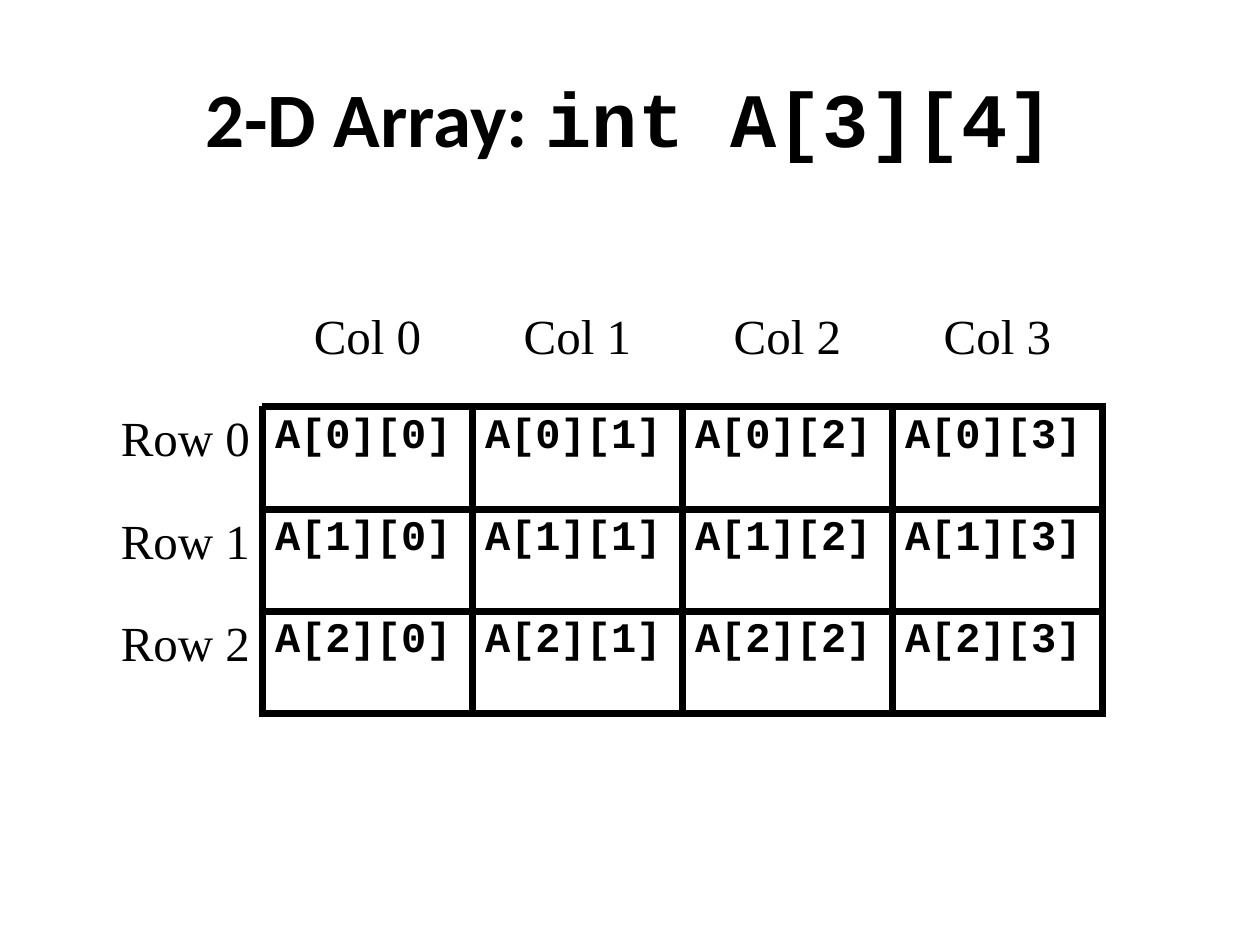
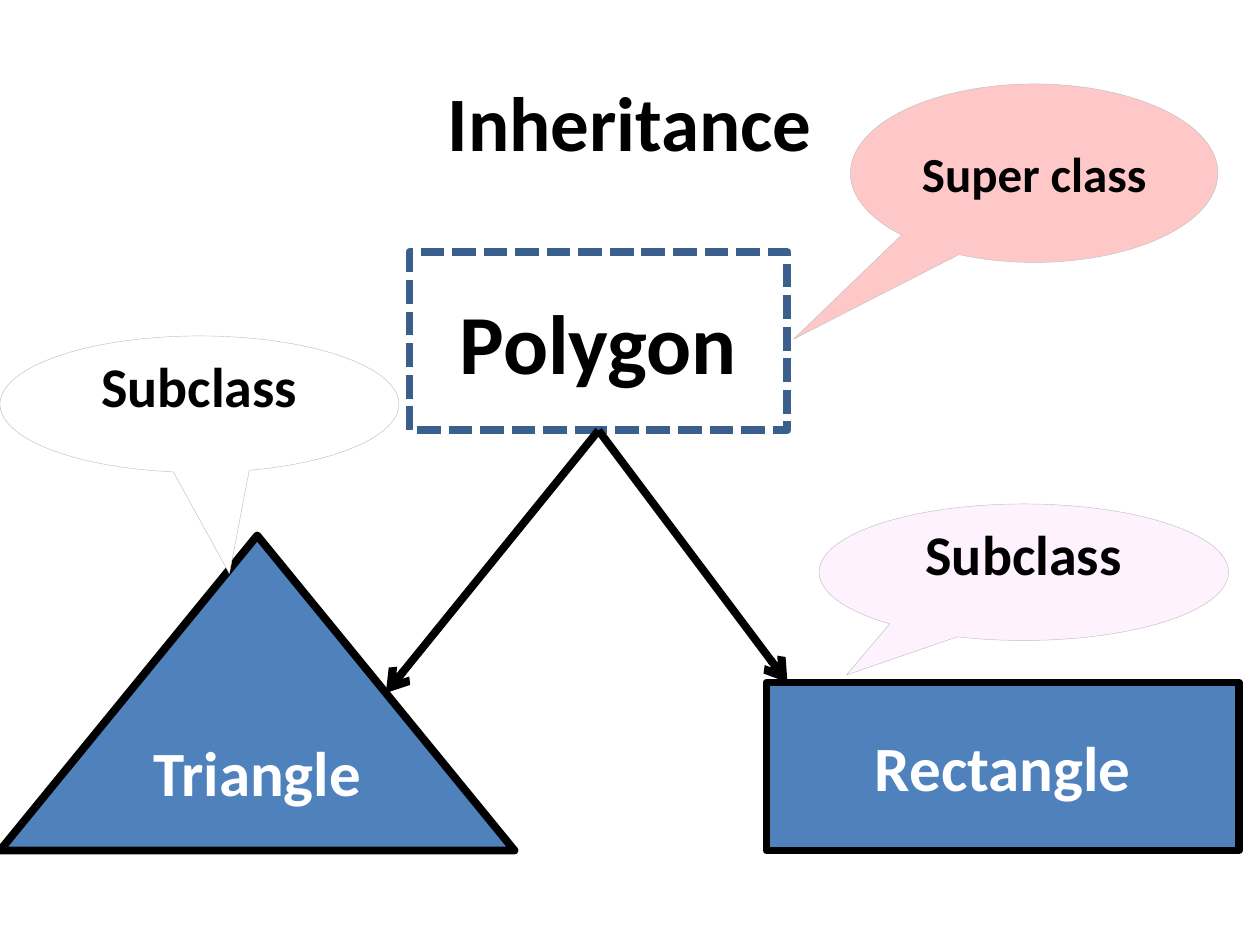
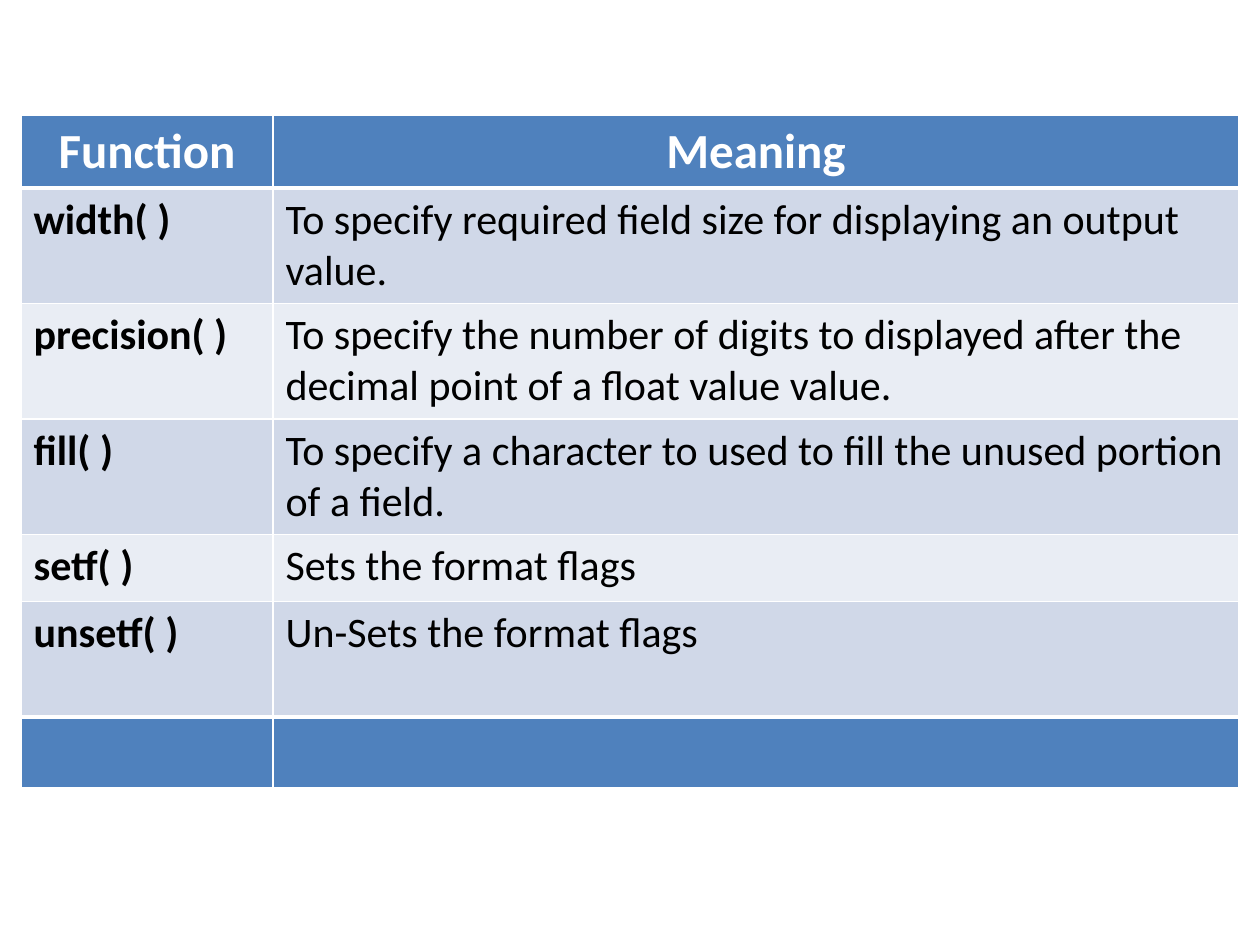
from lxml import etree
from pptx import Presentation
from pptx.dml.color import RGBColor
from pptx.enum.dml import MSO_LINE
from pptx.enum.shapes import MSO_CONNECTOR, MSO_SHAPE
from pptx.enum.text import MSO_ANCHOR, PP_ALIGN
from pptx.oxml.ns import qn
from pptx.util import Inches, Pt

LEFT, CENTER, RIGHT = PP_ALIGN.LEFT, PP_ALIGN.CENTER, PP_ALIGN.RIGHT
MIDDLE = MSO_ANCHOR.MIDDLE
BOX, TRIANGLE = MSO_SHAPE.RECTANGLE, MSO_SHAPE.ISOSCELES_TRIANGLE
CALLOUT, STRAIGHT = MSO_SHAPE.OVAL_CALLOUT, MSO_CONNECTOR.STRAIGHT
DASHED = MSO_LINE.SQUARE_DOT
TITLE_ONLY, BLANK = 5, 6

COLORS = {
    "black": "000000", "white": "FFFFFF", "blue": "4F81BD", "navy": "3A5F8C",
    "band": "D0D8E8", "pale band": "E9EDF4",
    "pink": "FFC8C8", "lilac": "FFF2FF", "hairline": "C0C0C0",
}
SANS, MONO, SERIF = "Calibri", "Courier New", "Times New Roman"
HEAVY = 4.5  # line width in points

# Formats: font name, size, bold, colour
TITLE = {"name": SANS, "size": 44, "bold": True, "color": "black"}
AXIS = {"name": SERIF, "size": 28, "bold": False, "color": "black"}
ELEMENT = {"name": MONO, "size": 24, "bold": True, "color": "black"}
HEADING = {"name": SANS, "size": 28, "bold": True, "color": "white"}
FUNCTION = {"name": SANS, "size": 24, "bold": True, "color": "black"}
MEANING = {**FUNCTION, "bold": False}

# Content; places are in twelfths of an inch: left, top, width, height
ARRAY_TITLE = [("2-D Array: ", TITLE), ("int A[3][4]", {**TITLE, "name": MONO})]
ARRAY_ROWS, ARRAY_COLS = 3, 4
ARRAY_PLACE = (5, 29, 100, 39)

INHERITANCE_TITLE = [("Inheritance", TITLE)]
POLYGON = (39, 24, 36, 17)
TRIANGLE_PLACE = (0, 51, 49, 30)
RECTANGLE = (73, 65, 45, 16)
# shape, place, fill, line colour, line width, text, size, text colour
CLASSES = [
    (BOX, POLYGON, "white", "navy", HEAVY, "Polygon", 48, "black"),
    (TRIANGLE, TRIANGLE_PLACE, "blue", "black", HEAVY, "Triangle", 36, "white"),
    (BOX, RECTANGLE, "blue", "black", HEAVY, "Rectangle", 36, "white"),
]
# place, fill, text, size, pointer tip from the centre, room below the text
CALLOUTS = [
    ((81, 8, 35, 17), "pink", "Super class", 28, (-0.655, 0.93), 0.05),
    ((78, 48, 39, 13), "lilac", "Subclass", 32, (-0.433, 0.753), 0.35),
    ((0, 32, 38, 13), "white", "Subclass", 32, (0.075, 1.241), 0.35),
]

FUNCTIONS = [
    ("Function", "Meaning"),
    ("width( )", "To specify required field size for displaying an output value."),
    ("precision( )", "To specify the number of digits to displayed after the "
                     "decimal point of a float value value."),
    ("fill( )", "To specify a character to used to fill the unused portion of a field."),
    ("setf( )", "Sets the format flags"),
    ("unsetf( )", "Un-Sets the format flags"),
    ("", ""),
]
FUNCTIONS_PLACE = (2, 11, 116, 64)
FUNCTION_COLS = (24, 92)
FUNCTION_ROWS = (6.72, 11, 11, 11, 6.4, 11, 6.72)


def grid(*units):
    return [Inches(unit / 12) for unit in units]


def rgb(color):
    return RGBColor.from_string(COLORS[color])


def write(frame, runs, align=CENTER):
    paragraph = frame.paragraphs[0]
    paragraph.alignment = align
    for text, style in runs:
        run = paragraph.add_run()
        run.text = text
        values = {**style, "size": Pt(style["size"])}
        run.font.color.rgb = rgb(values.pop("color"))
        for key, value in values.items():
            setattr(run.font, key, value)


def add_title(slide, runs, top):
    title = slide.shapes.title
    title.left, title.top, title.width, title.height = grid(6, top, 108, 15)
    title.text_frame.vertical_anchor = MIDDLE
    write(title.text_frame, runs)


def add_figure(slide, kind, place, fill, line, width, text, size, color):
    figure = slide.shapes.add_shape(kind, *grid(*place))
    figure.shadow.inherit = False
    figure.fill.solid()
    figure.fill.fore_color.rgb = rgb(fill)
    figure.line.color.rgb = rgb(line)
    figure.line.width = Pt(width)
    figure.text_frame.word_wrap = True
    figure.text_frame.vertical_anchor = MIDDLE
    write(figure.text_frame, [(text, {**TITLE, "size": size, "color": color})])
    return figure


def add_arrow(slide, start, end):
    arrow = slide.shapes.add_connector(STRAIGHT, *grid(*start, *end))
    arrow.line.color.rgb = rgb("black")
    arrow.line.width = Pt(HEAVY)
    etree.SubElement(arrow.line._get_or_add_ln(), qn("a:tailEnd"), type="arrow")
    etree.SubElement(arrow._element.spPr, qn("a:effectLst"))


def add_plain_table(slide, place, widths, heights):
    table = slide.shapes.add_table(len(heights), len(widths), *grid(*place)).table
    table.first_row = table.horz_banding = False
    for column, width in zip(table.columns, grid(*widths)):
        column.width = width
    for row, height in zip(table.rows, grid(*heights)):
        row.height = height
    return table


def set_borders(cell, color, widths):
    """Draw the sides named in widths, in the order L, R, T, B."""
    properties = cell._tc.get_or_add_tcPr()
    for side in "LRTB":
        if side in widths:
            line = etree.SubElement(properties, qn(f"a:ln{side}"), w=str(Pt(widths[side])))
            fill = etree.SubElement(line, qn("a:solidFill"))
            etree.SubElement(fill, qn("a:srgbClr"), val=COLORS[color])


def build_array(slide):
    add_title(slide, ARRAY_TITLE, 3.6)
    rows, cols = ARRAY_ROWS + 1, ARRAY_COLS + 1
    table = add_plain_table(slide, ARRAY_PLACE, [ARRAY_PLACE[2] / cols] * cols,
                            [ARRAY_PLACE[3] / rows] * rows)
    for r in range(rows):
        for c in range(cols):
            cell = table.cell(r, c)
            if r and c:
                text, style, align, sides = f"A[{r - 1}][{c - 1}]", ELEMENT, LEFT, "LRTB"
            elif r:
                text, style, align, sides = f"Row {r - 1}", AXIS, RIGHT, "R"
            elif c:
                text, style, align, sides = f"Col {c - 1}", AXIS, CENTER, "B"
            else:
                text, sides = "", ""
            set_borders(cell, "black", dict.fromkeys(sides, HEAVY))
            cell.fill.background()
            if text:
                write(cell.text_frame, [(text, style)], align)


def build_inheritance(slide):
    add_title(slide, INHERITANCE_TITLE, 4)
    polygon, *_ = [add_figure(slide, *parts) for parts in CLASSES]
    polygon.line.dash_style = DASHED

    # Arrows run from the foot of the polygon to each subclass
    left, top, width, height = POLYGON
    foot = (left + width / 2, top + height)
    left, top, width, height = TRIANGLE_PLACE
    add_arrow(slide, foot, (left + width * 3 / 4, top + height / 2))
    add_arrow(slide, foot, (75, RECTANGLE[1]))

    for place, fill, text, size, tip, room in CALLOUTS:
        callout = add_figure(slide, CALLOUT, place, fill, "hairline", 0.25,
                             text, size, "black")
        callout.adjustments[0], callout.adjustments[1] = tip
        callout.text_frame.margin_bottom = Inches(room)


def build_functions(slide):
    table = add_plain_table(slide, FUNCTIONS_PLACE, FUNCTION_COLS, FUNCTION_ROWS)
    last = len(FUNCTIONS) - 1
    for r, entry in enumerate(FUNCTIONS):
        edge = r in (0, last)
        fill = "blue" if edge else "band" if r % 2 else "pale band"
        widths = {"L": 1, "R": 1, "T": 3 if r in (1, last) else 1,
                  "B": 3 if r in (0, last - 1) else 1}
        for c, text in enumerate(entry):
            cell = table.cell(r, c)
            set_borders(cell, "white", widths)
            cell.fill.solid()
            cell.fill.fore_color.rgb = rgb(fill)
            if text:
                style = HEADING if edge else (FUNCTION, MEANING)[c]
                write(cell.text_frame, [(text, style)], CENTER if edge else LEFT)


def main():
    deck = Presentation()
    deck.slide_width, deck.slide_height = Inches(10), Inches(7.5)
    for layout, build in [(TITLE_ONLY, build_array), (TITLE_ONLY, build_inheritance),
                          (BLANK, build_functions)]:
        build(deck.slides.add_slide(deck.slide_layouts[layout]))
    deck.save("out.pptx")


if __name__ == "__main__":
    main()
